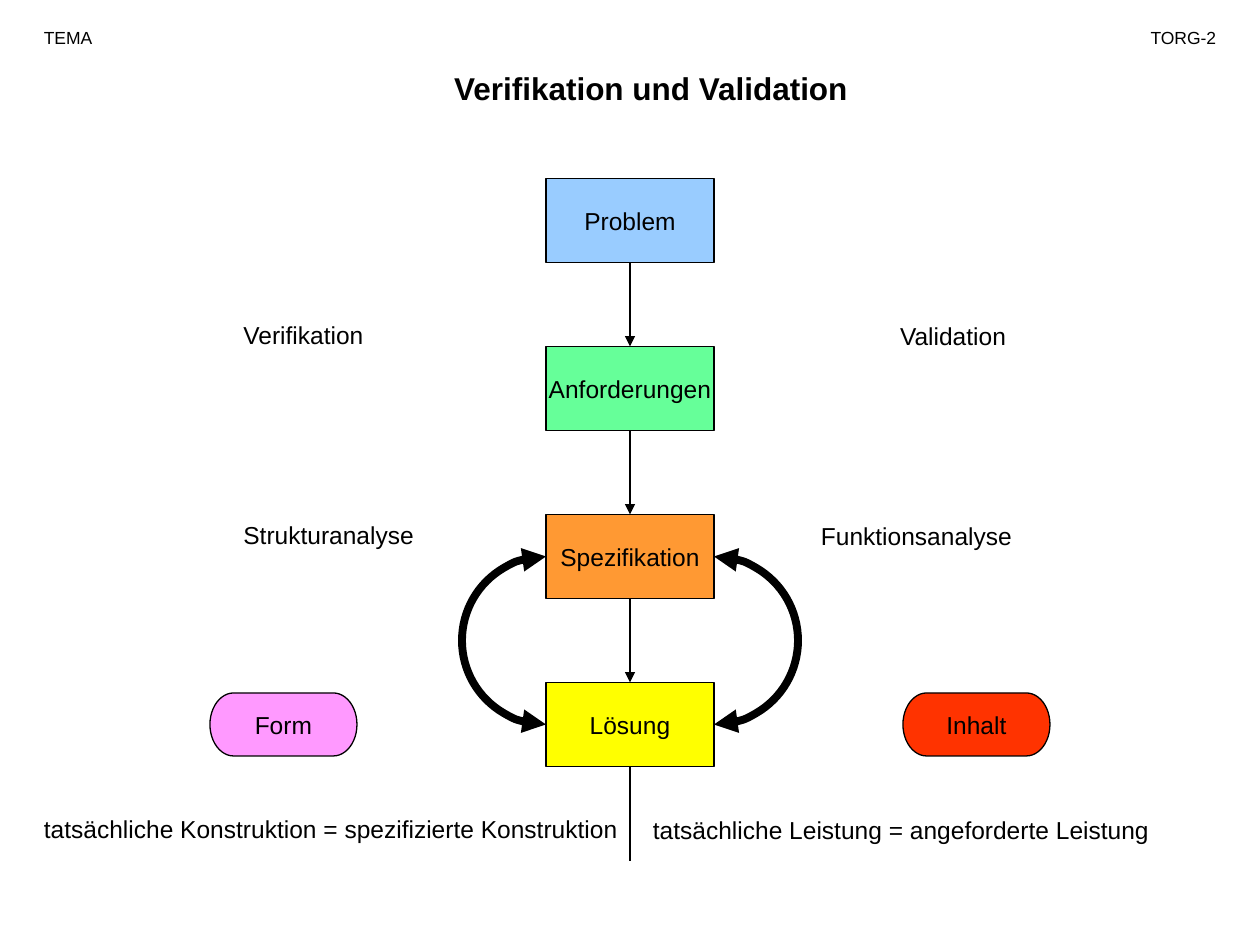
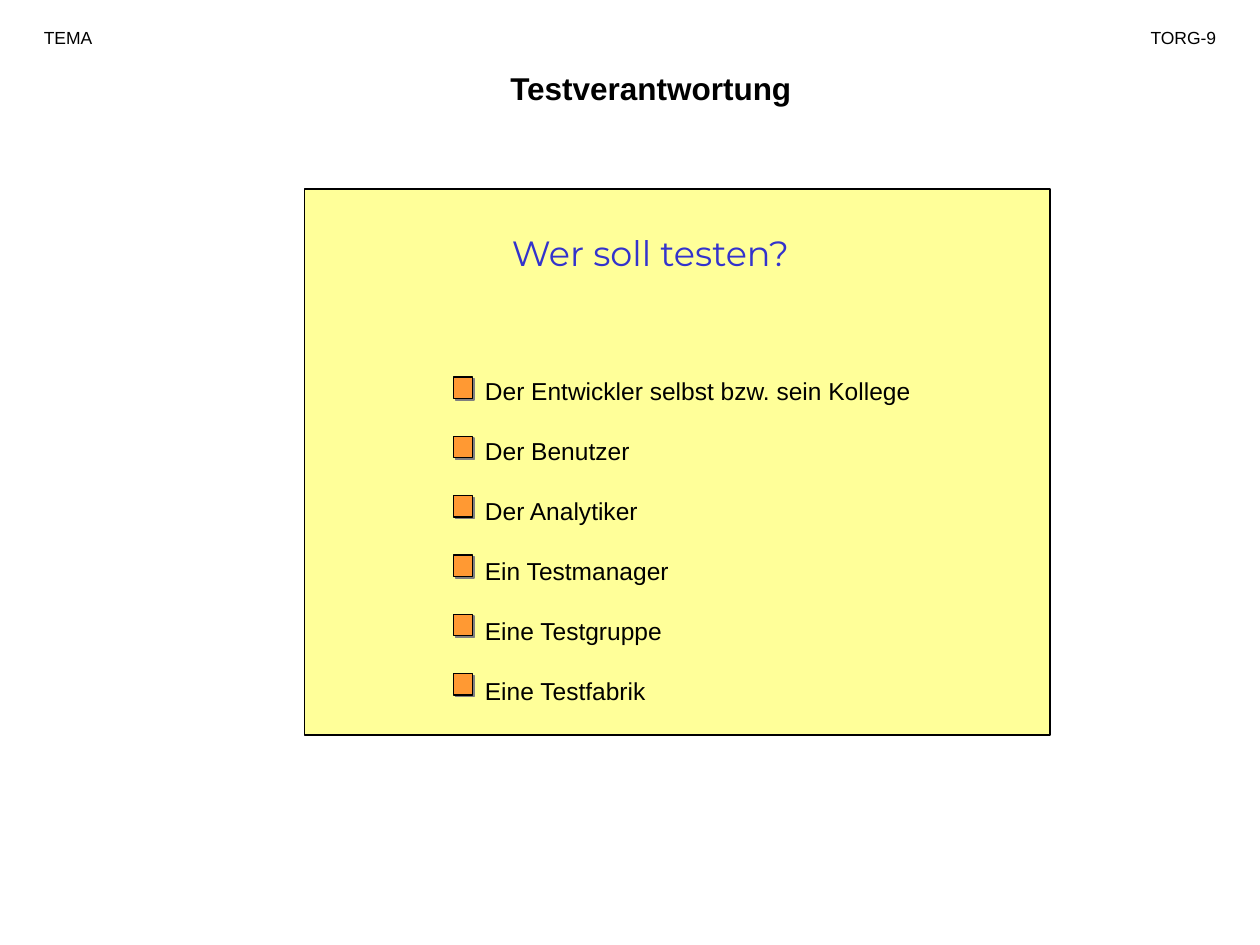
from lxml import etree
from pptx import Presentation, util as u
from pptx.dml.color import RGBColor
from pptx.enum import shapes, text
from pptx.oxml import ns

COLORS = {
    "black": "000000", "blue": "99CCFF", "green": "66FF99", "orange": "FF9933",
    "yellow": "FFFF00", "pink": "FF99FF", "red": "FF3300", "cream": "FFFF99",
    "indigo": "3333CC", "gray": "808080",
}
COLUMNS, ROWS = 120, 90
LEFT, CENTER, RIGHT = text.PP_ALIGN.LEFT, text.PP_ALIGN.CENTER, text.PP_ALIGN.RIGHT
MIDDLE = text.MSO_ANCHOR.MIDDLE
SHAPE = shapes.MSO_SHAPE


def child(parent, tag, **attributes):
    return etree.SubElement(parent, ns.qn(tag), {k: str(v) for k, v in attributes.items()})


class Deck:
    """Style and current slide; positions are columns and rows of a 120 x 90 grid."""

    font = "Arial"
    body_size = 14
    line_width = 0.75

    def __init__(self):
        self.prs = Presentation()
        self.prs.slide_width, self.prs.slide_height = u.Inches(10), u.Inches(7.5)
        self.slide = None

    def x(self, columns):
        return round(self.prs.slide_width * columns / COLUMNS)

    def y(self, rows):
        return round(self.prs.slide_height * rows / ROWS)

    def area(self, col, row, cols, rows):
        return self.x(col), self.y(row), self.x(cols), self.y(rows)

    def color(self, name):
        return RGBColor.from_string(COLORS[name])

    def new_slide(self, title, page):
        self.slide = self.prs.slides.add_slide(self.prs.slide_layouts[6])
        self.label(title, 26, 6, 72, 4.8, align=CENTER, size=18, bold=True)
        self.label("TEMA", 3, 2, 11, 3.2, size=10)
        self.label(page, 104, 2, 13, 3.2, align=RIGHT, size=10)

    def set_text(self, frame, lines, align, size=body_size, bold=False, color="black",
                 font=font, gap=0):
        frame.text = lines
        for index, paragraph in enumerate(frame.paragraphs):
            paragraph.alignment = align
            if index:
                paragraph.space_before = u.Pt(gap)
            for run in paragraph.runs:
                run.font.name, run.font.size, run.font.bold = font, u.Pt(size), bold
                run.font.color.rgb = self.color(color)

    def label(self, lines, col, row, cols, rows=4.1, align=LEFT, wrap=True, **style):
        frame = self.slide.shapes.add_textbox(*self.area(col, row, cols, rows)).text_frame
        frame.word_wrap = wrap
        self.set_text(frame, lines, align, **style)

    def outline(self, line, width=line_width):
        line.color.rgb = self.color("black")
        line.width = u.Pt(width)

    def arrowheads(self, line_element, *ends):
        for end in ends:
            child(line_element, f"a:{end}End", type="triangle")

    def block(self, kind, fill, col, row, cols, rows, caption=""):
        block = self.slide.shapes.add_shape(kind, *self.area(col, row, cols, rows))
        block.fill.solid()
        block.fill.fore_color.rgb = self.color(fill)
        self.outline(block.line)
        block.shadow.inherit = False
        if caption:
            frame = block.text_frame
            frame.word_wrap = False
            frame.vertical_anchor = MIDDLE
            self.set_text(frame, caption, CENTER)
        return block

    def marker(self, col, row):
        """Small square bullet with a hard shadow to the lower right."""
        square = self.block(SHAPE.RECTANGLE, "orange", col, row, 1.8, 2.04)
        effects = square.element.spPr.find(ns.qn("a:effectLst"))
        shadow = child(effects, "a:outerShdw", dist=u.Pt(1.4), dir=45 * 60000,
                       algn="ctr", rotWithShape=0)
        child(shadow, "a:srgbClr", val=COLORS["gray"])

    def down_line(self, col, top, bottom, arrow=True):
        line = self.slide.shapes.add_connector(
            shapes.MSO_CONNECTOR.STRAIGHT,
            self.x(col), self.y(top), self.x(col), self.y(bottom))
        self.outline(line.line)
        properties = line.element.spPr
        if arrow:
            self.arrowheads(properties.find(ns.qn("a:ln")), "tail")
        child(properties, "a:effectLst")

    def half_circle(self, col, row, diameter, start, end):
        """Thick double-headed arc, clockwise between two angles in degrees."""
        arc = self.slide.shapes.add_shape(SHAPE.ARC, *self.area(col, row, diameter, diameter))
        arc.adjustments[0], arc.adjustments[1] = start * 0.6, end * 0.6
        arc.fill.background()
        self.outline(arc.line, 4.5)
        arc.shadow.inherit = False
        self.arrowheads(arc.element.spPr.find(ns.qn("a:ln")), "head", "tail")


def verification_slide(deck):
    deck.new_slide("Verifikation und Validation", "TORG-2")
    axis, width, height, first, step = 60, 16, 8, 17, 16
    stages = [("Problem", "blue"), ("Anforderungen", "green"),
              ("Spezifikation", "orange"), ("Lösung", "yellow")]
    for index, (stage, fill) in enumerate(stages):
        top = first + index * step
        bottom = top + height
        deck.block(SHAPE.RECTANGLE, fill, axis - width / 2, top, width, height, stage)
        last = index == len(stages) - 1
        deck.down_line(axis, bottom, 82 if last else top + step, arrow=not last)

    specification_middle = first + 2 * step + height / 2
    deck.half_circle(axis, specification_middle, step, 270, 90)
    deck.half_circle(axis - step, specification_middle, step, 90, 270)

    for aspect, fill, col in [("Form", "pink", 20), ("Inhalt", "red", 86)]:
        deck.block(SHAPE.FLOWCHART_TERMINATOR, fill, col, 66, 14, 6, aspect)

    deck.label("Verifikation", 22, 29.9, 20)
    deck.label("Validation", 77, 30, 20, align=RIGHT)
    deck.label("Strukturanalyse", 22, 48.9, 19)
    deck.label("Funktionsanalyse", 77, 49, 21)
    deck.label("tatsächliche Konstruktion = spezifizierte Konstruktion", 3, 76.9, 58)
    deck.label("tatsächliche Leistung = angeforderte Leistung", 61, 77, 58)


def responsibility_slide(deck):
    deck.new_slide("Testverantwortung", "TORG-9")
    deck.block(SHAPE.RECTANGLE, "cream", 29, 18, 71, 52)
    deck.label("Wer soll testen?", 46.9, 21.5, 30.1, 4.6, align=CENTER, wrap=False,
               size=20, color="indigo", font="Montserrat")
    testers = ["Der Entwickler selbst bzw. sein Kollege", "Der Benutzer", "Der Analytiker",
               "Ein Testmanager", "Eine Testgruppe", "Eine Testfabrik"]
    deck.label("\n".join(testers), 45, 35.2, 44, 32, gap=17.5)
    for index in range(len(testers)):
        deck.marker(43.2, 35.9 + index * 5.65)


def main():
    deck = Deck()
    verification_slide(deck)
    responsibility_slide(deck)
    deck.prs.save("out.pptx")


if __name__ == "__main__":
    main()
